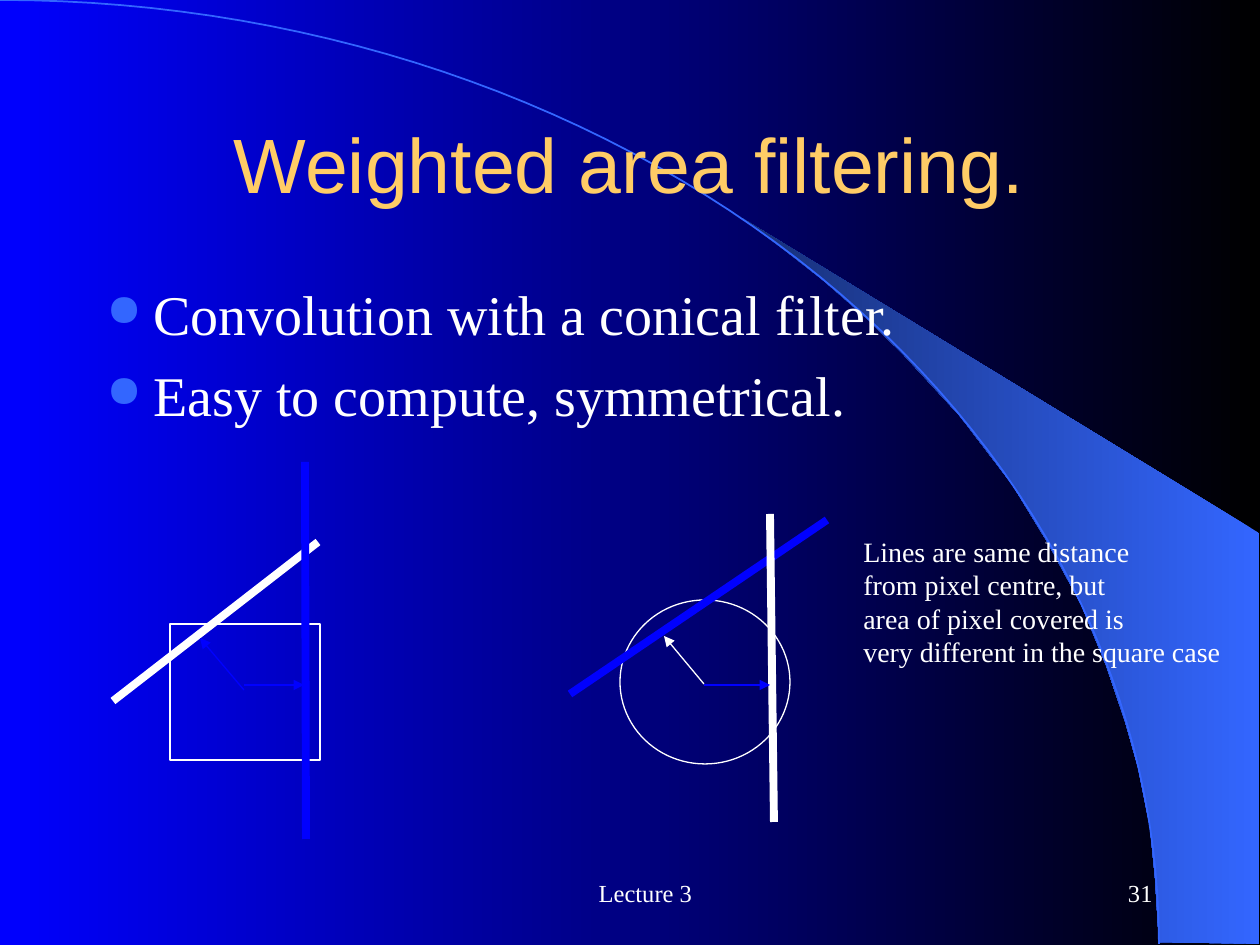
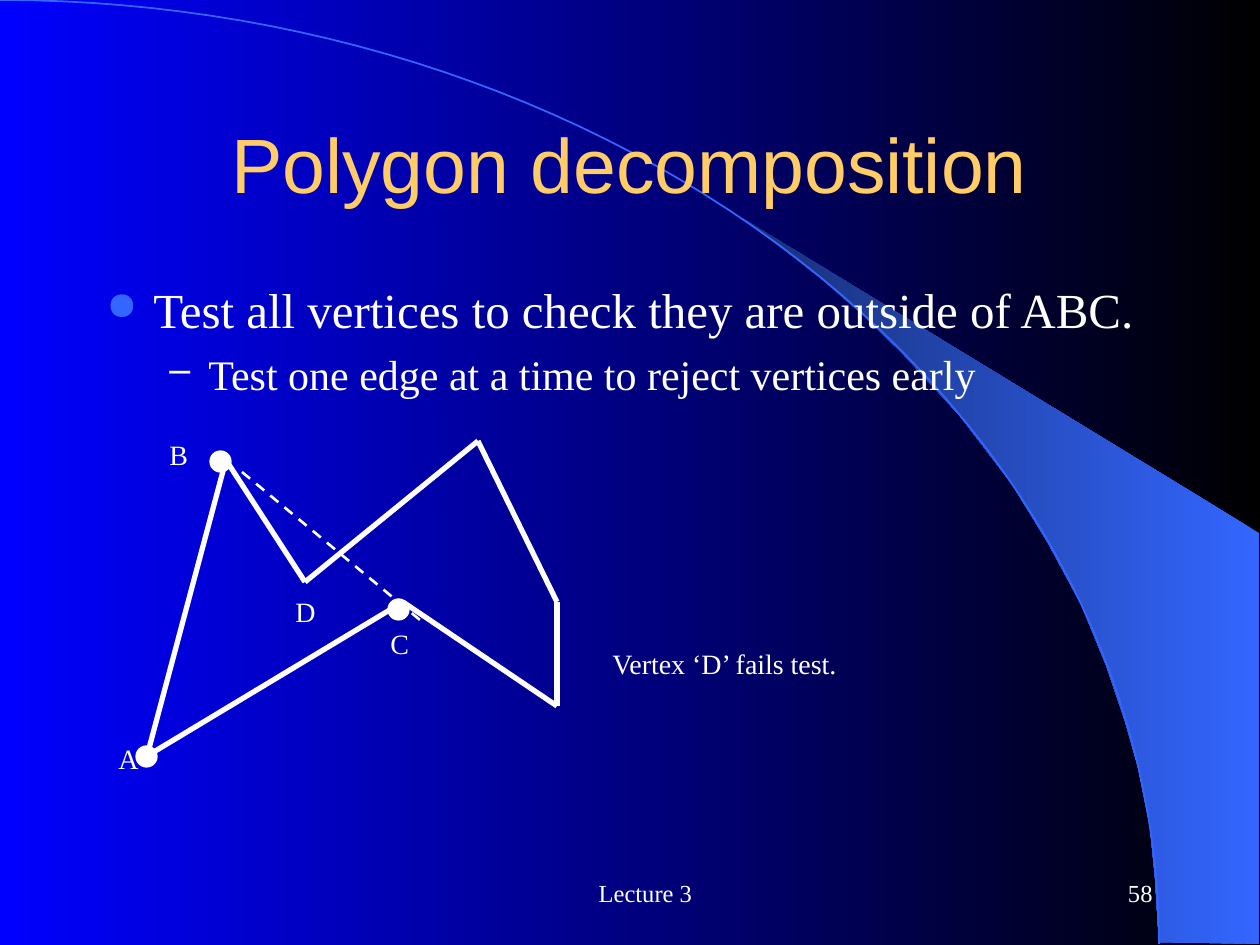
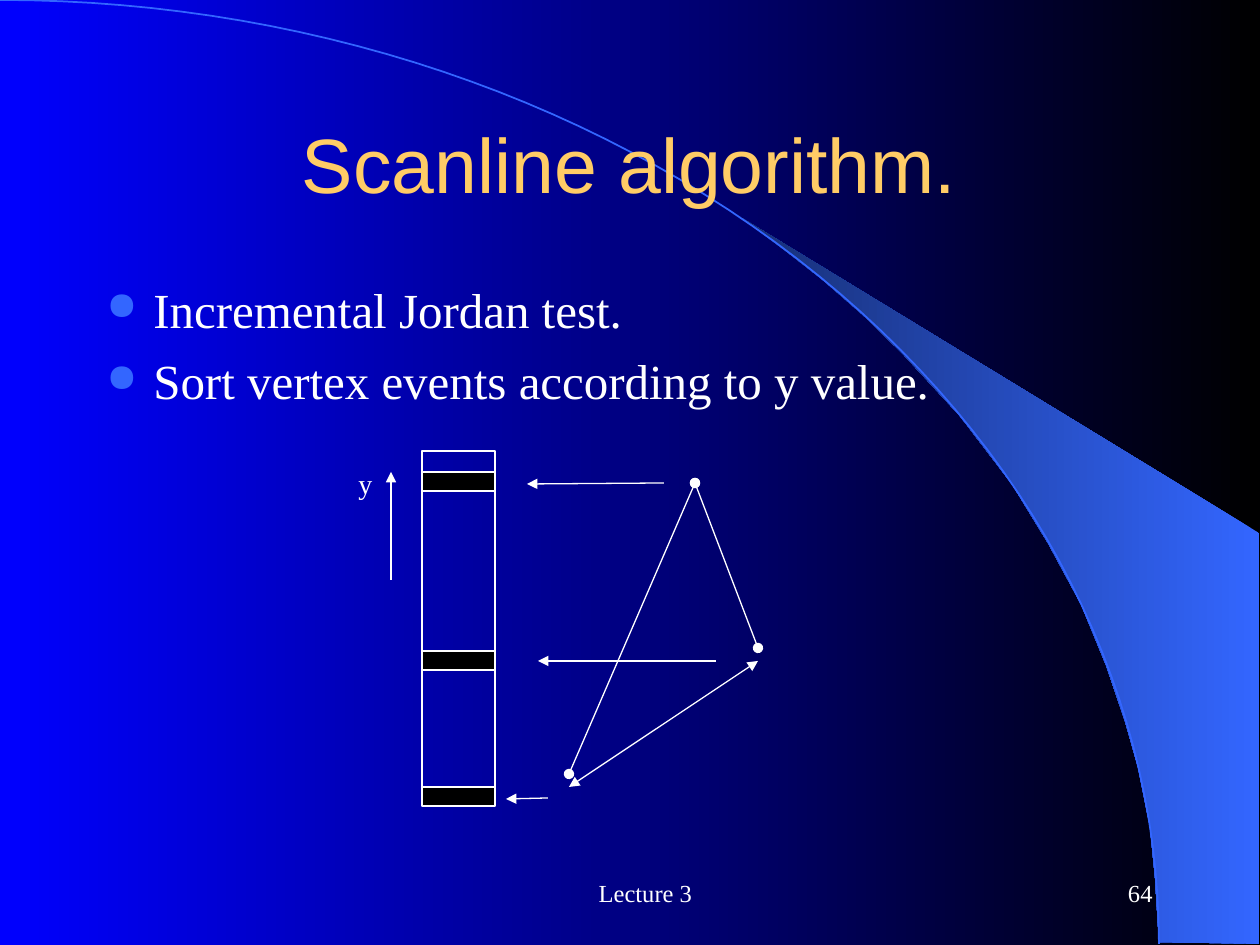
import math

from lxml import etree
from pptx import Presentation
from pptx.dml.color import RGBColor
from pptx.enum.dml import MSO_LINE
from pptx.enum.shapes import MSO_CONNECTOR, MSO_SHAPE
from pptx.enum.text import MSO_ANCHOR, MSO_AUTO_SIZE, PP_ALIGN
from pptx.oxml.ns import qn
from pptx.util import Pt

WIDE, HIGH = 1260, 945
SCALE = 914400 / 126

STRAIGHT = MSO_CONNECTOR.STRAIGHT
RECT, OVAL = MSO_SHAPE.RECTANGLE, MSO_SHAPE.OVAL
LEFT, CENTER, RIGHT = PP_ALIGN.LEFT, PP_ALIGN.CENTER, PP_ALIGN.RIGHT
TOP, MIDDLE = MSO_ANCHOR.TOP, MSO_ANCHOR.MIDDLE
FIT, DASH = MSO_AUTO_SIZE.SHAPE_TO_FIT_TEXT, MSO_LINE.DASH

WHITE, BLACK, BLUE = "FFFFFF", "000000", "0000FF"
GOLD, SKY, NAVY = "FFCC66", "3366FF", "172F75"
SERIF, SANS = "Times New Roman", "Arial"

# Bullet by level: sign, colour, size in percent, left margin, hang
BULLETS = [("●", SKY, 80, 47, 47), ("–", WHITE, 90, 102, 39)]

# Swoosh outline and the radii of the arc
SWOOSH = [
    (1159, 942), (1259, 944), (1259, 533), (742, 218), (786, 251), (823, 280),
    (863, 315), (902, 353), (960, 416), (1012, 484), (1048, 543), (1081, 604),
    (1106, 665), (1125, 721), (1138, 767), (1150, 827), (1155, 877),
]
ARC_W, ARC_H = 1159, 944


def px(n):
    return round(n * SCALE)


def rgb(code):
    return RGBColor.from_string(code)


def blend(fill, start, end):
    fill.gradient()
    fill.gradient_angle = 180
    for stop, color in zip(fill.gradient_stops, (start, end)):
        stop.color.rgb = rgb(color)


def stroke(line, color, width):
    line.color.rgb = rgb(color)
    line.width = Pt(width)


def text(slide, box, words, size=16, color=WHITE, font=SERIF, align=LEFT,
         anchor=TOP, wrap=True, inset=0):
    area = slide.shapes.add_textbox(*map(px, box))
    frame = area.text_frame
    frame.word_wrap = wrap
    frame.auto_size = MSO_AUTO_SIZE.NONE if wrap else FIT
    frame.vertical_anchor = anchor
    for i, row in enumerate(words.split("\n")):
        para = frame.add_paragraph() if i else frame.paragraphs[0]
        para.alignment = align
        if inset:
            para._p.get_or_add_pPr().set("marL", str(px(inset)))
        run = para.add_run()
        run.text = row
        run.font.size = Pt(size)
        run.font.name = font
        run.font.color.rgb = rgb(color)
    return frame


def label(slide, x, y, wide, words, high=47):
    text(slide, (x, y, wide, high), words, wrap=False)


def shape(slide, kind, box, fill=None):
    item = slide.shapes.add_shape(kind, *map(px, box))
    item.shadow.inherit = False
    if fill:
        item.fill.solid()
        item.fill.fore_color.rgb = rgb(fill)
    else:
        item.fill.background()
    stroke(item.line, WHITE, 0.75)


def link(slide, x, y, ends, color=WHITE, width=0.75, head=None, tail=None,
         dash=None):
    x1, y1, x2, y2 = ends
    item = slide.shapes.add_connector(
        STRAIGHT, px(x + x1), px(y + y1), px(x + x2), px(y + y2))
    stroke(item.line, color, width)
    if dash:
        item.line.dash_style = dash
    pen = item.line._get_or_add_ln()
    for tag, kind in (("a:headEnd", head), ("a:tailEnd", tail)):
        if kind:
            etree.SubElement(pen, qn(tag)).set("type", kind)
    etree.SubElement(item._element.spPr, qn("a:effectLst"))


def trace(slide, points, close):
    spots = [(px(x), px(y)) for x, y in points]
    form = slide.shapes.build_freeform(*spots[0])
    form.add_line_segments(spots[1:], close=close)
    item = form.convert_to_shape()
    item.shadow.inherit = False
    return item


# Backdrop: gradient, swoosh and arc
def backdrop(slide):
    blend(slide.background.fill, BLACK, BLUE)
    swoosh = trace(slide, SWOOSH, True)
    blend(swoosh.fill, SKY, NAVY)
    swoosh.line.fill.background()
    turns = [math.radians(1.5 * i) for i in range(61)]
    arc = trace(slide, [(ARC_W * math.sin(t), ARC_H * (1 - math.cos(t)))
                        for t in turns], False)
    arc.fill.background()
    stroke(arc.line, SKY, 1)


# Bulleted text: items are (level, words)
def body(slide, box, items, size):
    frame = text(slide, box, "\n".join(words for _, words in items), size)
    for i, (para, (level, _)) in enumerate(zip(frame.paragraphs, items)):
        sign, color, scale, margin, hang = BULLETS[level]
        points = size - 4 * level
        para.level = level
        para.runs[0].font.size = Pt(points)
        if i:
            para.space_before = Pt(points // 4)
        props = para._p.get_or_add_pPr()
        props.set("marL", str(px(margin)))
        props.set("indent", str(-px(hang)))
        tint = etree.SubElement(props, qn("a:buClr"))
        etree.SubElement(tint, qn("a:srgbClr")).set("val", color)
        etree.SubElement(props, qn("a:buSzPct")).set("val", str(scale * 1000))
        etree.SubElement(props, qn("a:buChar")).set("char", sign)


def footer(slide, y, number):
    for x, wide, words, align in ((431, 399, "Lecture 3", CENTER),
                                  (903, 262, number, RIGHT)):
        text(slide, (x, y, wide, 63), words, size=14, align=align,
             anchor=MIDDLE, inset=30)


def page(deck, title, items, size, number):
    slide = deck.slides.add_slide(deck.slide_layouts[6])
    backdrop(slide)
    text(slide, (94, 84, 1071, 157), title, size=44, color=GOLD, font=SANS,
         align=CENTER, anchor=MIDDLE)
    body(slide, (94, 273, 1071, 207), items, size)
    footer(slide, 861, number)
    return slide


# Pixel outline with crossing edges and arrows to them
def pixel(slide, box, kind, edges, arrows):
    x, y = box[:2]
    shape(slide, kind, box)
    for color, *ends in edges:
        link(slide, x, y, ends, color, 4.5)
    for color, *ends in arrows:
        link(slide, x, y, ends, color, tail="triangle")


# Polygon with the test triangle ABC
def polygon(slide, x, y):
    spots = [(47, 326), (126, 30), (205, 152), (378, 11), (457, 172),
             (457, 276), (303, 172)]
    for start, end in zip(spots, spots[1:] + spots[:1]):
        link(slide, x, y, start + end, width=3)
    for left, top in ((36, 316), (110, 21), (288, 169)):
        shape(slide, OVAL, (x + left, y + top, 21, 21), WHITE)
    link(slide, x, y, (142, 42, 320, 190), width=1.5, dash=DASH)
    for name, left, top in (("A", 6, 305), ("B", 57, 1), ("C", 278, 190),
                            ("D", 183, 158)):
        label(slide, x + left, y + top, 45, name)
    label(slide, x + 500, y + 210, 255, "Vertex ‘D’ fails test.")


# Event list beside the triangle that is scanned
def scan(slide, x, y):
    shape(slide, RECT, (x + 82, y + 6, 73, 349))
    for ends in ((229, 329, 355, 38), (355, 38, 418, 203)):
        link(slide, x, y, ends, head="oval", tail="oval")
    link(slide, x, y, (229, 342, 418, 216), head="triangle", tail="triangle")
    for ends in ((324, 38, 187, 39), (376, 216, 198, 216),
                 (208, 353, 166, 354), (51, 135, 51, 27)):
        link(slide, x, y, ends, tail="triangle")
    for top in (27, 206, 342):
        shape(slide, RECT, (x + 82, y + top, 73, 19), BLACK)
    label(slide, x + 6, y + 15, 39, "y")


def main():
    deck = Presentation()
    deck.slide_width, deck.slide_height = px(WIDE), px(HIGH)

    # Filtering
    slide = page(deck, "Weighted area filtering.",
                 [(0, "Convolution with a conical filter."),
                  (0, "Easy to compute, symmetrical.")], 32, "31")
    pixel(slide, (170, 624, 150, 136), RECT,
          [(WHITE, -57, 77, 148, -82), (BLUE, 135, -162, 136, 215)],
          [(BLUE, 74, 66, 30, 14), (BLUE, 74, 61, 134, 61)])
    pixel(slide, (620, 600, 170, 164), OVAL,
          [(BLUE, -50, 94, 207, -80), (WHITE, 150, -86, 154, 222)],
          [(WHITE, 84, 84, 44, 36), (BLUE, 84, 85, 150, 85)])
    label(slide, 851, 528, 382,
          "Lines are same distance\nfrom pixel centre, but\n"
          "area of pixel covered is\nvery different in the square case", 147)

    # Decomposition
    slide = page(deck, "Polygon decomposition",
                 [(0, "Test all vertices to check they are outside of ABC."),
                  (1, "Test one edge at a time to reject vertices early")],
                 28, "58")
    polygon(slide, 100, 430)

    # Scanline
    slide = page(deck, "Scanline algorithm.",
                 [(0, "Incremental Jordan test."),
                  (0, "Sort vertex events according to y value.")], 28, "64")
    scan(slide, 340, 445)

    deck.save("out.pptx")


if __name__ == "__main__":
    main()
